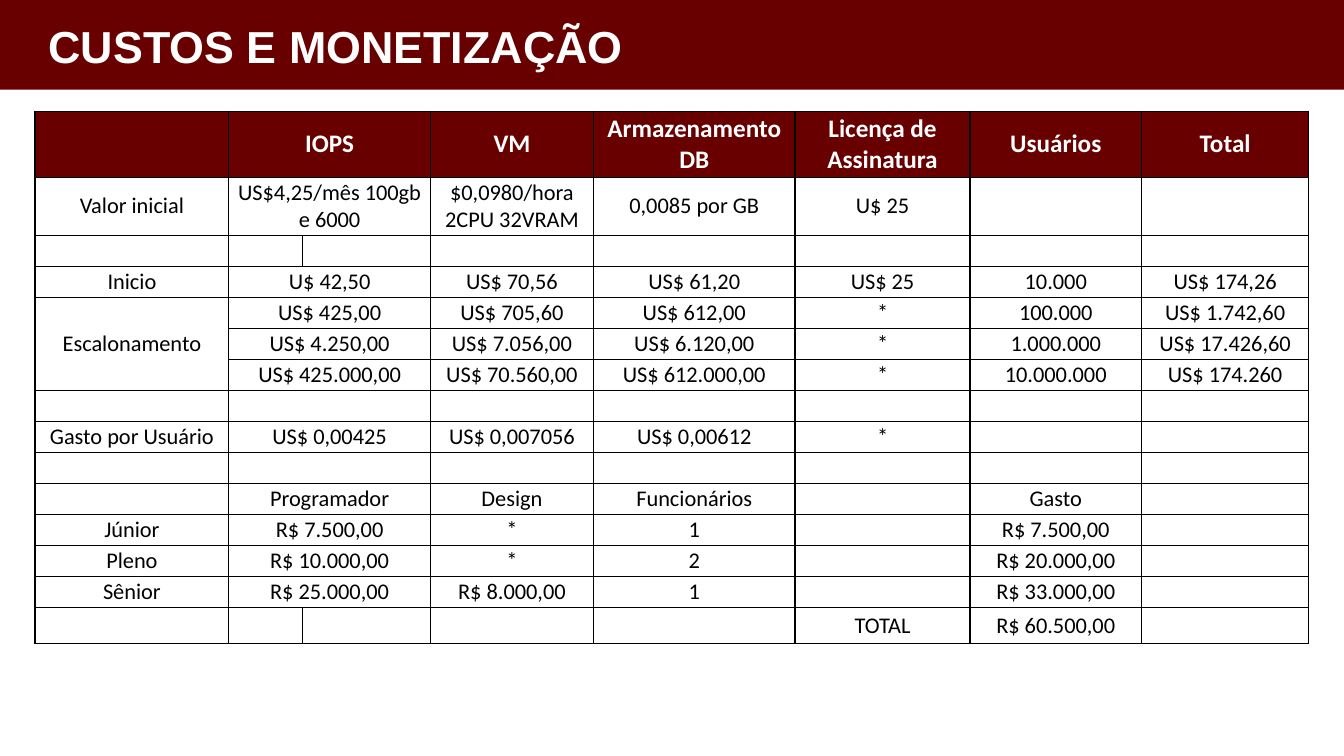
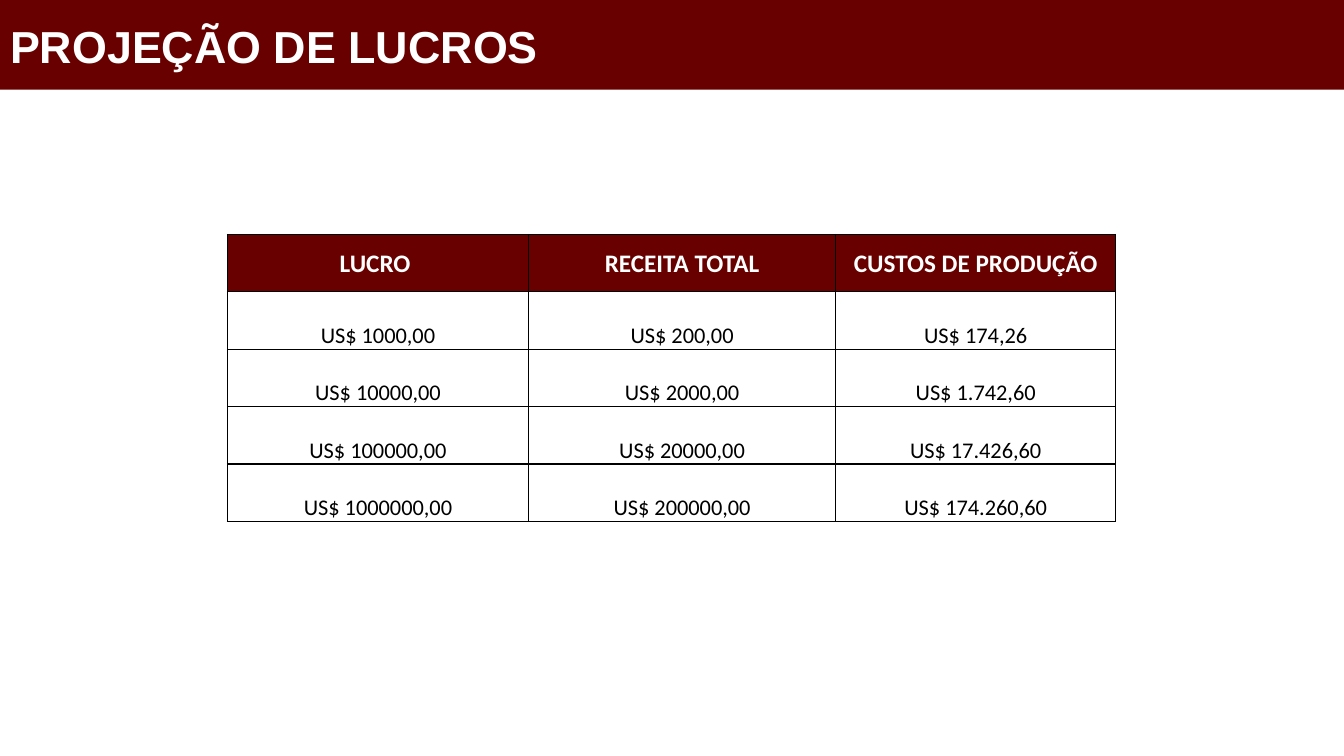
from lxml.etree import SubElement
from pptx import Presentation
from pptx.dml.color import RGBColor
from pptx.enum.shapes import MSO_SHAPE
from pptx.enum.text import MSO_ANCHOR, PP_ALIGN
from pptx.oxml import parse_xml
from pptx.oxml.ns import nsdecls, qn
from pptx.util import Pt

MAROON = "680000"
WHITE = "FFFFFF"
BLACK = "000000"
SLIDE_WIDTH = 960


def color(hex_text):
    return RGBColor.from_string(hex_text)


def format_cell(cell, text, is_header, body_anchor, side_inset, top_inset, bottom_inset):
    cell.margin_left = cell.margin_right = Pt(side_inset)
    cell.margin_top, cell.margin_bottom = Pt(top_inset), Pt(bottom_inset)
    cell.vertical_anchor = MSO_ANCHOR.MIDDLE if is_header else body_anchor
    if is_header:
        cell.fill.solid()
        cell.fill.fore_color.rgb = color(MAROON)
    else:
        cell.fill.background()
    properties = cell._tc.get_or_add_tcPr()
    for index, side in enumerate(("lnL", "lnR", "lnT", "lnB")):
        properties.insert(index, parse_xml(
            f'<a:{side} {nsdecls("a")} w="12700"><a:solidFill>'
            f'<a:srgbClr val="{BLACK}"/></a:solidFill></a:{side}>'))
    paragraph = cell.text_frame.paragraphs[0]
    paragraph.alignment = PP_ALIGN.CENTER
    size = 18 if is_header else 16
    if text:
        run = paragraph.add_run()
        run.text = text
        run.font.name = "Calibri"
        run.font.size = Pt(size)
        run.font.bold = is_header
        run.font.color.rgb = color(WHITE if is_header else BLACK)
    else:
        ending = SubElement(paragraph._p, qn("a:endParaRPr"), sz=str(size * 100))
        SubElement(ending, qn("a:latin"), typeface="Calibri")


cost_rows = [
    ["", "IOPS", "VM", "Armazenamento DB", "Licença de Assinatura", "Usuários", "Total"],
    ["Valor inicial", "US$4,25/mês 100gb e 6000", "$0,0980/hora 2CPU 32VRAM", "0,0085 por GB", "U$ 25", "", ""],
    [""] * 7,
    ["Inicio", "U$ 42,50", "US$ 70,56", "US$ 61,20", "US$ 25", "10.000", "US$ 174,26"],
    ["Escalonamento", "US$ 425,00", "US$ 705,60", "US$ 612,00", "*", "100.000", "US$ 1.742,60"],
    ["", "US$ 4.250,00", "US$ 7.056,00", "US$ 6.120,00", "*", "1.000.000", "US$ 17.426,60"],
    ["", "US$ 425.000,00", "US$ 70.560,00", "US$ 612.000,00", "*", "10.000.000", "US$ 174.260"],
    [""] * 7,
    ["Gasto por Usuário", "US$ 0,00425", "US$ 0,007056", "US$ 0,00612", "*", "", ""],
    [""] * 7,
    ["", "Programador", "Design", "Funcionários", "", "Gasto", ""],
    ["Júnior", "R$ 7.500,00", "*", "1", "", "R$ 7.500,00", ""],
    ["Pleno", "R$ 10.000,00", "*", "2", "", "R$ 20.000,00", ""],
    ["Sênior", "R$ 25.000,00", "R$ 8.000,00", "1", "", "R$ 33.000,00", ""],
    ["", "", "", "", "TOTAL", "R$ 60.500,00", ""],
]
profit_rows = [
    ["LUCRO ", "RECEITA TOTAL", "CUSTOS DE PRODUÇÃO"],
    ["US$ 1000,00", "US$ 200,00", "US$ 174,26"],
    ["US$ 10000,00", "US$ 2000,00", "US$ 1.742,60"],
    ["US$ 100000,00", "US$ 20000,00", "US$ 17.426,60"],
    ["US$ 1000000,00", "US$ 200000,00", "US$ 174.260,60"],
]
split_rows = (2, 14)
cost_merges = [(row, 1, row, 2) for row in range(len(cost_rows)) if row not in split_rows]
cost_merges.append((4, 0, 6, 0))

pages = [
    {
        "title": "CUSTOS E MONETIZAÇÃO",
        "alignment": PP_ALIGN.CENTER,
        "position": (25, 79.5),
        "columns": [138.5, 52.5, 91.5, 116.5, 144, 125, 122.5, 119.5],
        "heights": [47, 41.5] + [22.1] * 12 + [26],
        "rows": [row[:2] + [""] + row[2:] for row in cost_rows],
        "merges": cost_merges,
        "anchor": MSO_ANCHOR.MIDDLE,
        "insets": (2, 1.3, 1.3),
    },
    {
        "title": "PROJEÇÃO DE LUCROS",
        "alignment": PP_ALIGN.LEFT,
        "position": (162.5, 167.5),
        "columns": [215, 219.5, 200],
        "heights": [41] * 5,
        "rows": profit_rows,
        "merges": [],
        "anchor": MSO_ANCHOR.BOTTOM,
        "insets": (0.7, 0.7, 0),
    },
]

presentation = Presentation()
presentation.slide_width, presentation.slide_height = Pt(SLIDE_WIDTH), Pt(540)

for page in pages:
    slide = presentation.slides.add_slide(presentation.slide_layouts[5])
    title = slide.shapes.title
    title.left, title.top, title.width, title.height = Pt(0), Pt(9.5), Pt(480), Pt(46)
    title.text_frame.vertical_anchor = MSO_ANCHOR.MIDDLE
    paragraph = title.text_frame.paragraphs[0]
    paragraph.alignment = page["alignment"]
    run = paragraph.add_run()
    run.text = page["title"]
    run.font.name = "Arial"
    run.font.size = Pt(32)
    run.font.bold = True
    run.font.color.rgb = color(WHITE)

    band = slide.shapes.add_shape(MSO_SHAPE.RECTANGLE, Pt(0), Pt(0), Pt(SLIDE_WIDTH), Pt(64))
    band.shadow.inherit = False
    band.fill.solid()
    band.fill.fore_color.rgb = color(MAROON)
    band.line.fill.background()
    title.element.addprevious(band.element)

    left, top = page["position"]
    table = slide.shapes.add_table(
        len(page["rows"]), len(page["columns"]), Pt(left), Pt(top),
        Pt(sum(page["columns"])), Pt(sum(page["heights"]))).table
    table.first_row = table.horz_banding = False
    for column, width in zip(table.columns, page["columns"]):
        column.width = Pt(width)
    for row, height in zip(table.rows, page["heights"]):
        row.height = Pt(height)
    for row_index, texts in enumerate(page["rows"]):
        for column_index, text in enumerate(texts):
            format_cell(table.cell(row_index, column_index), text, row_index == 0,
                        page["anchor"], *page["insets"])
    for first_row, first_column, last_row, last_column in page["merges"]:
        table.cell(first_row, first_column).merge(table.cell(last_row, last_column))

presentation.save("out.pptx")
